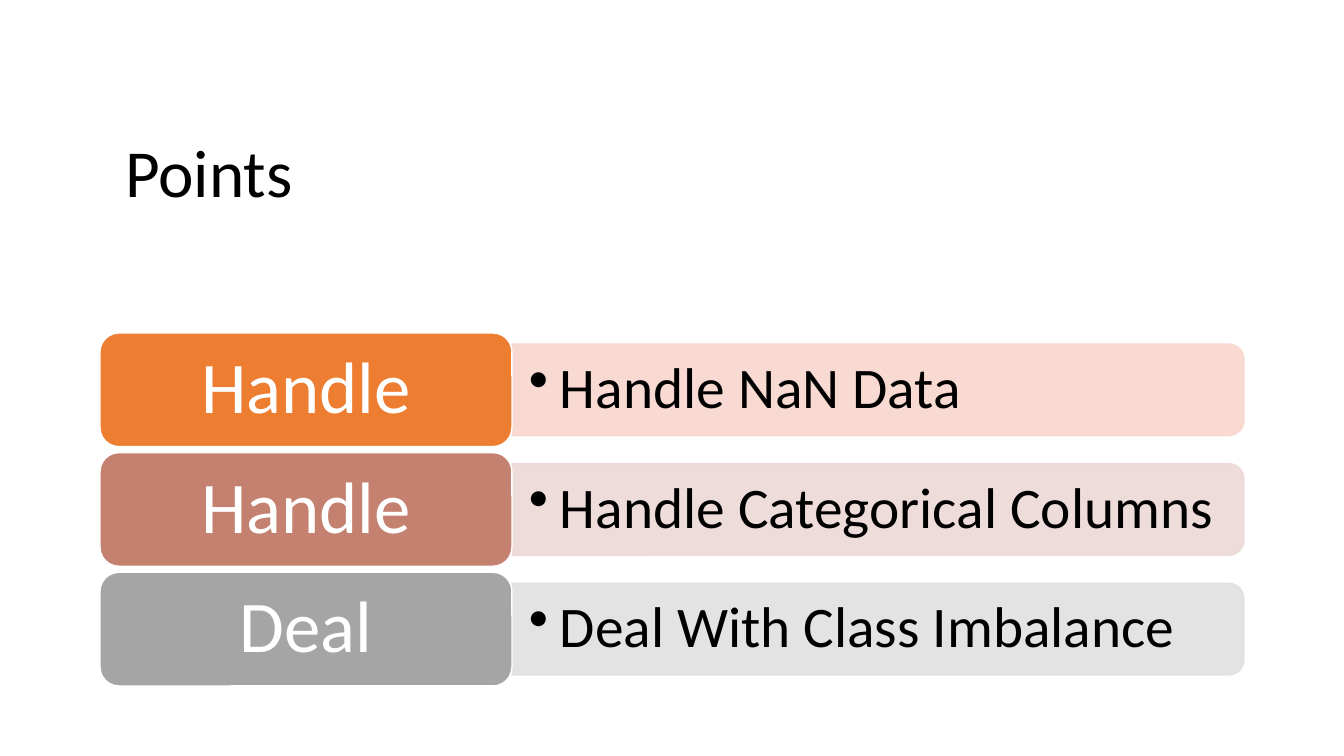
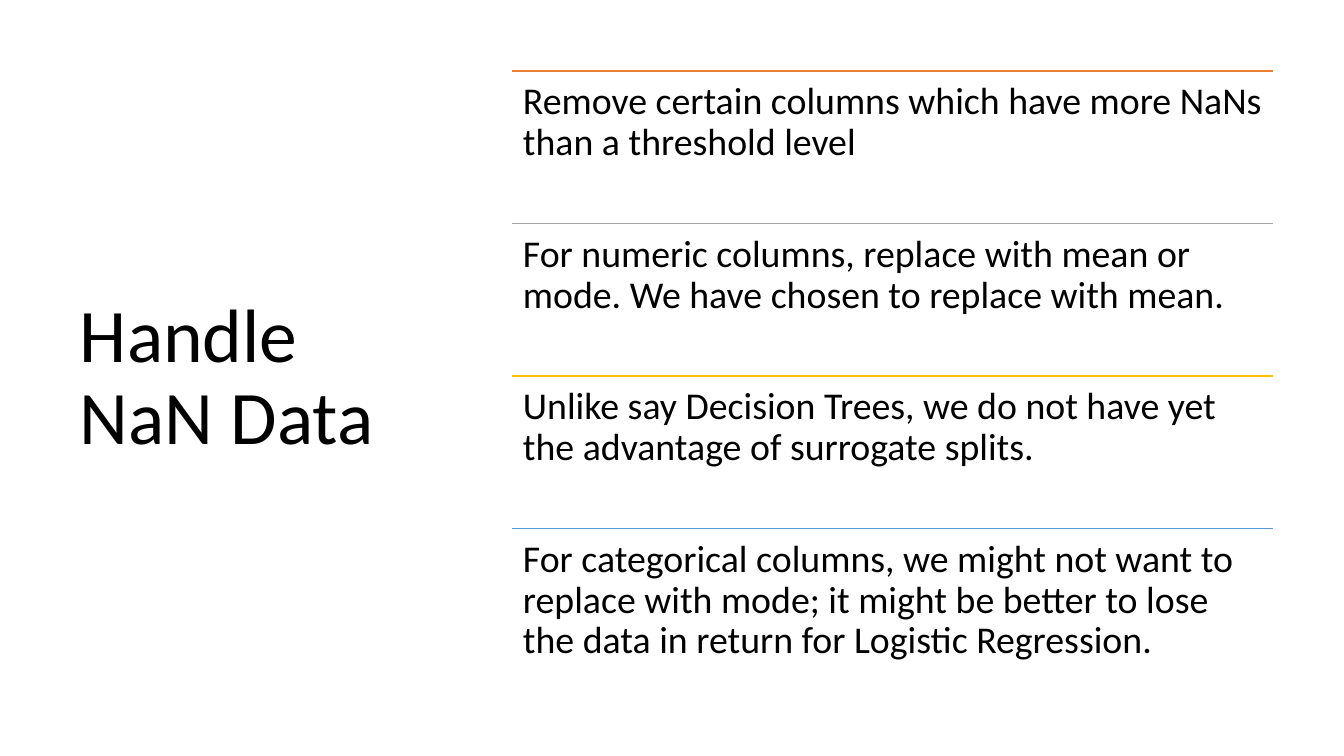
"""Build two slides: a list of points and a ruled list of remarks."""
from lxml import etree
from pptx import Presentation
from pptx import util as u
from pptx.dml.color import RGBColor
from pptx.enum import shapes, text
from pptx.oxml import ns

PIXEL = u.Inches(1) / 100.8
FONT = "Calibri"
BLACK = RGBColor(0x00, 0x00, 0x00)
WHITE = RGBColor(0xFF, 0xFF, 0xFF)
ORANGE = RGBColor(0xED, 0x7D, 0x31)
ROSE = RGBColor(0xC4, 0x81, 0x70)
GRAY = RGBColor(0xA5, 0xA5, 0xA5)
GOLD = RGBColor(0xFF, 0xC0, 0x00)
BLUE = RGBColor(0x5B, 0x9B, 0xD5)
PALE_ORANGE = RGBColor(0xF8, 0xD7, 0xCE)
PALE_ROSE = RGBColor(0xED, 0xD9, 0xD7)
PALE_GRAY = RGBColor(0xE1, 0xE1, 0xE1)

POINTS = [
    ("Handle", "Handle NaN Data", ORANGE, PALE_ORANGE),
    ("Handle", "Handle Categorical Columns", ROSE, PALE_ROSE),
    ("Deal", "Deal With Class Imbalance", GRAY, PALE_GRAY),
]
REMARKS = [
    ("Remove certain columns which have more NaNs than a threshold level", ORANGE),
    ("For numeric columns, replace with mean or mode. "
     "We have chosen to replace with mean.", GRAY),
    ("Unlike say Decision Trees, we do not have yet "
     "the advantage of surrogate splits.", GOLD),
    ("For categorical columns, we might not want to replace with mode; it might be "
     "better to lose the data in return for Logistic Regression.", BLUE),
]


def px(*lengths):
    """Turn pixel lengths into EMU."""
    return [u.Emu(round(length * PIXEL)) for length in lengths]


def write(shape, words, size, color=BLACK, margins=(10, 5),
          anchor=text.MSO_ANCHOR.MIDDLE, align=text.PP_ALIGN.LEFT):
    """Put one styled paragraph into a shape and return the paragraph."""
    frame = shape.text_frame
    frame.word_wrap = True
    frame.vertical_anchor = anchor
    frame.margin_left, frame.margin_top = px(*margins)
    frame.margin_right, frame.margin_bottom = px(*margins)
    para = frame.paragraphs[0]
    para.alignment = align
    para.line_spacing = 0.9
    span = para.add_run()
    span.text = words
    span.font.name = FONT
    span.font.size = u.Pt(size)
    span.font.color.rgb = color
    return para


def add_text(page, box, words, size, **style):
    """Add a text box and return its paragraph."""
    return write(page.shapes.add_textbox(*px(*box)), words, size, **style)


def add_block(page, kind, box, fill, line):
    """Add a filled and outlined preset shape."""
    block = page.shapes.add_shape(kind, *px(*box))
    block.shadow.inherit = False
    block.fill.solid()
    block.fill.fore_color.rgb = fill
    block.line.color.rgb = line
    block.line.width = u.Pt(1)
    return block


def add_bullet(para, indent):
    """Give a paragraph a hanging round bullet."""
    properties = para._p.get_or_add_pPr()
    hang = px(indent)[0]
    properties.set("marL", str(hang))
    properties.set("indent", str(-hang))
    etree.SubElement(properties, ns.qn("a:buChar")).set("char", "•")


def add_point(page, box, label, detail, color, pale):
    """Draw a label block with a pale bar and its bulleted detail."""
    left, top, width, height = box
    label_width, inset = 412, 11
    bar_left, bar_top = left + label_width, top + inset
    bar_width, bar_height = width - label_width, height - 2 * inset
    turn = (bar_width - bar_height) / 2
    bar = add_block(page, shapes.MSO_SHAPE.ROUND_2_SAME_RECTANGLE,
                    (bar_left + turn, bar_top - turn, bar_height, bar_width), pale, pale)
    bar.rotation = 90
    for tint in bar._element.spPr.iter(ns.qn("a:srgbClr")):
        etree.SubElement(tint, ns.qn("a:alpha")).set("val", "90000")
    para = add_text(page, (bar_left, bar_top, bar_width - 4, bar_height),
                    detail, 41, margins=(17, 9))
    add_bullet(para, 31)
    block = add_block(page, shapes.MSO_SHAPE.ROUNDED_RECTANGLE,
                      (left, top, label_width, height), color, WHITE)
    write(block, label, 52, color=WHITE, margins=(27, 16), align=text.PP_ALIGN.CENTER)


def add_remark(page, box, words, color):
    """Draw a coloured rule with a remark below it."""
    left, top, width, height = box
    rule = page.shapes.add_connector(shapes.MSO_CONNECTOR.STRAIGHT,
                                     *px(left, top, left + width, top))
    rule.line.color.rgb = color
    rule.line.width = u.Pt(1)
    etree.SubElement(rule._element.spPr, ns.qn("a:effectLst"))
    add_text(page, box, words, 27, margins=(11, 11), anchor=text.MSO_ANCHOR.TOP)


def add_rows(page, box, rows, draw, gap=0):
    """Share a box equally among rows, top to bottom."""
    left, top, width, height = box
    row_height = (height - gap * (len(rows) - 1)) / len(rows)
    for index, row in enumerate(rows):
        draw(page, (left, top + index * (row_height + gap), width, row_height), *row)


def add_page(deck):
    """Add a blank page."""
    return deck.slides.add_slide(deck.slide_layouts[6])


def build_points(deck):
    """Build the page of points."""
    page = add_page(deck)
    add_text(page, (115, 90, 1122, 171), "Points", 48)
    add_rows(page, (100, 333, 1144, 353), POINTS, add_point, gap=6)


def build_remarks(deck):
    """Build the page of remarks."""
    page = add_page(deck)
    add_text(page, (70, 71, 377, 616), "Handle NaN Data", 54)
    add_rows(page, (512, 71, 761, 610), REMARKS, add_remark)


def main():
    """Build and save the deck."""
    deck = Presentation()
    deck.slide_width, deck.slide_height = px(1344, 756)
    build_points(deck)
    build_remarks(deck)
    deck.save("out.pptx")


main()
